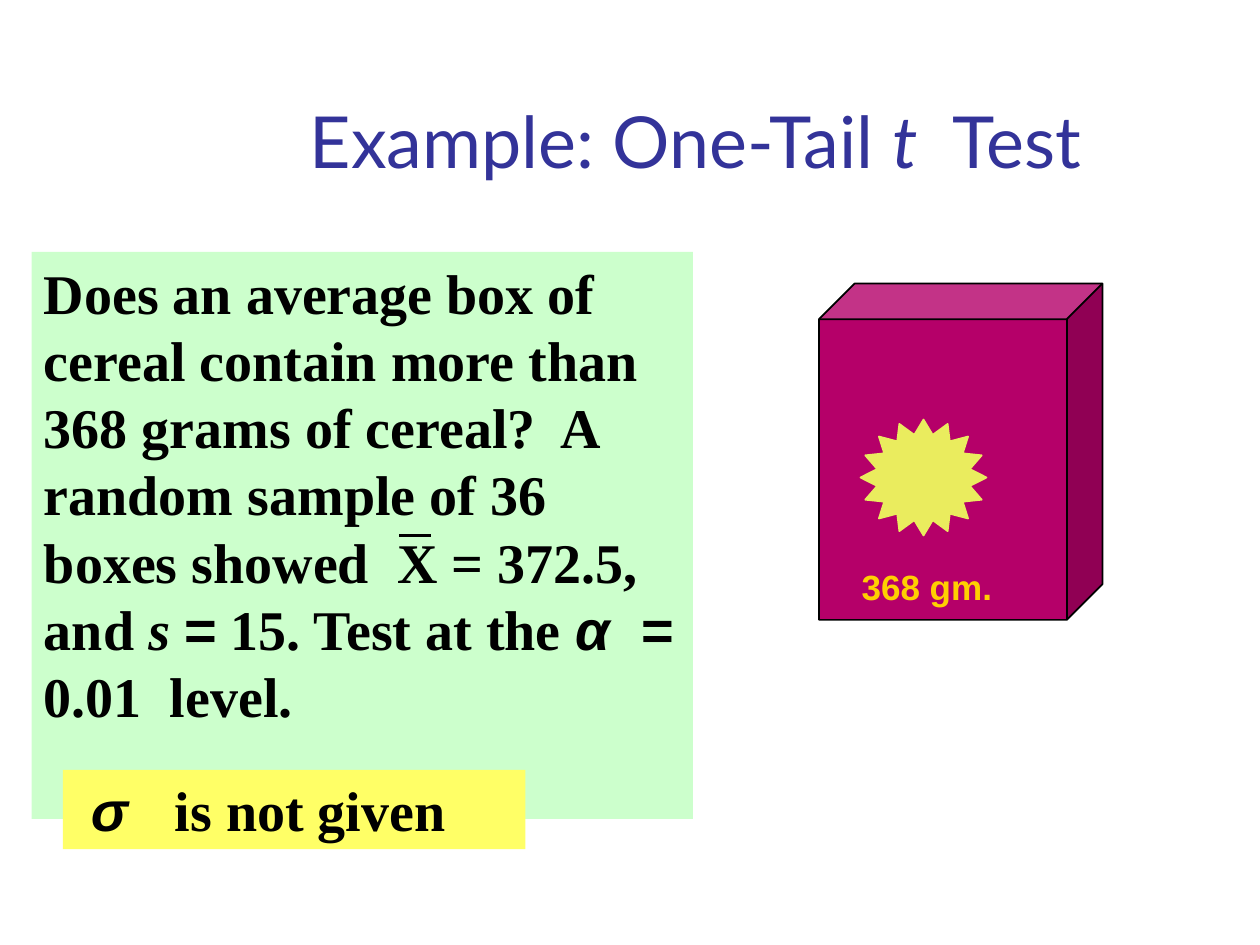
from lxml import etree
from pptx import Presentation
from pptx.dml.color import RGBColor
from pptx.enum.shapes import MSO_CONNECTOR as Conn, MSO_SHAPE as Shape
from pptx.enum.text import MSO_ANCHOR as Anchor, PP_ALIGN as Align
from pptx.oxml.ns import qn
from pptx.util import Inches, Pt

SERIF, SANS = "Times New Roman", "Arial"


def color(code):
    return RGBColor.from_string(code)


def write(shape, runs, size, code, bold=True, align=Align.LEFT, anchor=Anchor.TOP):
    """Fill a shape with one paragraph of (text, font, italic) runs."""
    frame = shape.text_frame
    frame.word_wrap = True
    frame.vertical_anchor = anchor
    para = frame.paragraphs[0]
    para.alignment = align
    for text, face, slant in runs:
        run = para.add_run()
        run.text = text
        font = run.font
        font.name, font.size = face, Pt(size)
        font.bold, font.italic = bold, slant
        font.color.rgb = color(code)
    return para


prs = Presentation()
prs.slide_width, prs.slide_height = Inches(10), Inches(7.5)
slide = prs.slides.add_slide(prs.slide_layouts[6])
shapes = slide.shapes

# Title
title = shapes.add_textbox(Inches(1.26), Inches(0.25), Inches(8.52), Inches(1.25))
write(title, [("Example: One-Tail ", "Lato", False), ("t", "Lato", True),
              ("  Test", "Lato", False)],
      41, "333399", False, Align.CENTER, Anchor.BOTTOM)

# Panels and cereal box: preset, left, top, width, height, fill, line
parts = []
for kind, x, y, w, h, fill, line in [
    (Shape.RECTANGLE, 0.25, 2, 5.25, 4.5, "CCFFCC", None),
    (Shape.CUBE, 6.5, 2.25, 2.25, 2.67, "B50069", "000000"),
    (Shape.STAR_16_POINT, 6.83, 3.33, 1, 0.92, "EAEC5E", "EAEC5E"),
    (Shape.RECTANGLE, 0.5, 6.11, 3.67, 0.63, "FFFF66", None),
]:
    part = shapes.add_shape(kind, Inches(x), Inches(y), Inches(w), Inches(h))
    part.shadow.inherit = False
    part.fill.solid()
    part.fill.fore_color.rgb = color(fill)
    if line:
        part.line.color.rgb = color(line)
        part.line.width = Pt(1)
    else:
        part.line.fill.background()
    parts.append(part)
panel, cube, star, note = parts
cube.adjustments[0] = 0.126
star.adjustments[0] = 0.375

# Question
write(panel, [
    ("Does an average box of cereal contain more than 368 grams of cereal?  "
     "A random sample of 36 boxes showed  X = 372.5, and ", SERIF, False),
    ("s ", SERIF, True),
    ("=", SANS, False),
    (" 15. Test at the ", SERIF, False),
    ("α  ", SANS, True),
    ("= ", SANS, False),
    ("0.01  level.", SERIF, False),
], 32, "000000")

# Weight on the box
label = shapes.add_textbox(Inches(6.74), Inches(4.41), Inches(1.76), Inches(0.46))
para = write(label, [("368 gm.", SANS, False)], 20, "FFCF01")
para.line_spacing = 1.1

# Note on sigma
write(note, [(" ", SANS, False), ("σ   ", SANS, True),
             ("is not given", SERIF, False)], 32, "000000")

# Bar over the X
bar = shapes.add_connector(Conn.STRAIGHT, Inches(3.17), Inches(4.25),
                           Inches(3.42), Inches(4.25))
bar.line.color.rgb = color("000000")
bar.line.width = Pt(2.25)
etree.SubElement(bar._element.spPr, qn("a:effectLst"))

prs.save("out.pptx")
